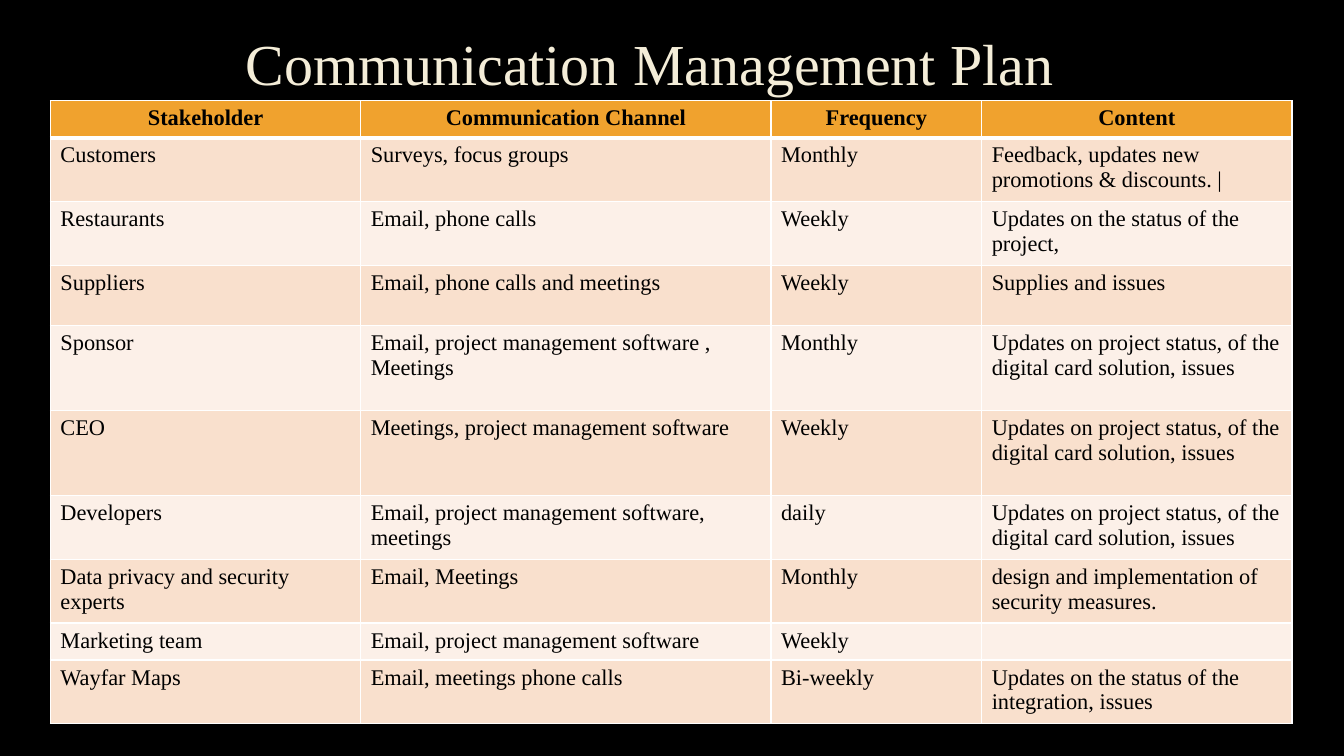
"""Build the communication management plan slide."""
from dataclasses import dataclass

from lxml.etree import SubElement
from pptx import Presentation
from pptx.dml.color import RGBColor
from pptx.enum.text import MSO_ANCHOR as Anchor, PP_ALIGN as Align
from pptx.oxml.ns import qn
from pptx.slide import Slide
from pptx.table import _Cell as Cell
from pptx.text.text import _Paragraph as Paragraph
from pptx.util import Cm, Pt

FONT = "Times New Roman"
COLORS = {
    "background": "000000",
    "title": "F4EDD8",
    "text": "000000",
    "header": "F0A22E",
    "odd": "F9E0CD",
    "even": "FCF0E8",
    "border": "FFFFFF",
}
TEXT_SIZE = 16
LINE_CM = 0.63
PADDING_CM = 0.25
COLUMNS_CM = (7.82, 10.34, 5.31, 7.82)
HEADINGS = ("Stakeholder", "Communication Channel", "Frequency", "Content")
PROJECT_STATUS = "Updates on project status, of the digital card solution, issues"


@dataclass(frozen=True)
class Contact:
    stakeholder: str
    channel: str
    frequency: str
    content: str
    lines: int = 2

    def texts(self) -> tuple[str, ...]:
        return self.stakeholder, self.channel, self.frequency, self.content


CONTACTS = (
    Contact("Customers", "Surveys, focus groups", "Monthly",
            "Feedback, updates new promotions & discounts. |"),
    Contact("Restaurants", "Email, phone calls", "Weekly",
            "Updates on the status of the project,"),
    Contact("Suppliers", "Email, phone calls and meetings", "Weekly",
            "Supplies and issues"),
    Contact("Sponsor", "Email, project management software , Meetings", "Monthly",
            PROJECT_STATUS, lines=3),
    Contact("CEO", "Meetings, project management software", "Weekly",
            PROJECT_STATUS, lines=3),
    Contact("Developers", "Email, project management software, meetings", "daily",
            PROJECT_STATUS),
    Contact("Data privacy and security experts", "Email, Meetings", "Monthly",
            "design and implementation of security measures."),
    Contact("Marketing team", "Email, project management software", "Weekly",
            "", lines=1),
    Contact("Wayfar Maps", "Email, meetings phone calls", "Bi-weekly",
            "Updates on the status of the integration, issues"),
)


def rgb(name: str) -> RGBColor:
    return RGBColor.from_string(COLORS[name])


def add_run(p: Paragraph, text: str, size: float, color: str, bold: bool = False) -> None:
    r = p.add_run()
    r.text = text
    r.font.name = FONT
    r.font.size = Pt(size)
    r.font.bold = bold
    r.font.color.rgb = rgb(color)


def set_borders(cell: Cell, top: float, bottom: float) -> None:
    tc_pr = cell._tc.get_or_add_tcPr()
    for side, width in (("L", 1), ("R", 1), ("T", top), ("B", bottom)):
        ln = SubElement(tc_pr, qn(f"a:ln{side}"), w=str(Pt(width)))
        fill = SubElement(ln, qn("a:solidFill"))
        SubElement(fill, qn("a:srgbClr"), val=COLORS["border"])


def fill_cell(cell: Cell, text: str, row: int) -> None:
    is_header = row == 0
    set_borders(cell, top=3 if row == 1 else 1, bottom=3 if is_header else 1)
    cell.fill.solid()
    cell.fill.fore_color.rgb = rgb("header" if is_header else "odd" if row % 2 else "even")
    p = cell.text_frame.paragraphs[0]
    p.alignment = Align.CENTER if is_header else Align.LEFT
    if text:
        add_run(p, text, TEXT_SIZE, "text", bold=is_header)
    else:
        SubElement(p._p, qn("a:endParaRPr"), sz=str(TEXT_SIZE * 100))


def add_title(s: Slide, text: str) -> None:
    sp = s.shapes.add_textbox(Cm(2), Cm(0.83), Cm(28.75), Cm(1.7))
    tf = sp.text_frame
    tf.word_wrap = True
    tf.vertical_anchor = Anchor.MIDDLE
    p = tf.paragraphs[0]
    p.alignment = Align.CENTER
    p.line_spacing = 0.9
    add_run(p, text, 41.4, "title")


def add_plan(s: Slide) -> None:
    rows = [HEADINGS, *(contact.texts() for contact in CONTACTS)]
    heights = [PADDING_CM + LINE_CM * n for n in (1, *(c.lines for c in CONTACTS))]
    table = s.shapes.add_table(
        len(rows), len(HEADINGS), Cm(1.27), Cm(2.54), Cm(sum(COLUMNS_CM)), Cm(sum(heights))
    ).table
    for column, width in zip(table.columns, COLUMNS_CM):
        column.width = Cm(width)
    for i, (texts, height) in enumerate(zip(rows, heights)):
        table.rows[i].height = Cm(height)
        for j, text in enumerate(texts):
            fill_cell(table.cell(i, j), text, i)


def main() -> None:
    prs = Presentation()
    prs.slide_width, prs.slide_height = Cm(33.87), Cm(19.05)
    s = prs.slides.add_slide(prs.slide_layouts[6])
    s.background.fill.solid()
    s.background.fill.fore_color.rgb = rgb("background")
    add_title(s, "Communication Management Plan")
    add_plan(s)
    prs.save("out.pptx")


if __name__ == "__main__":
    main()
